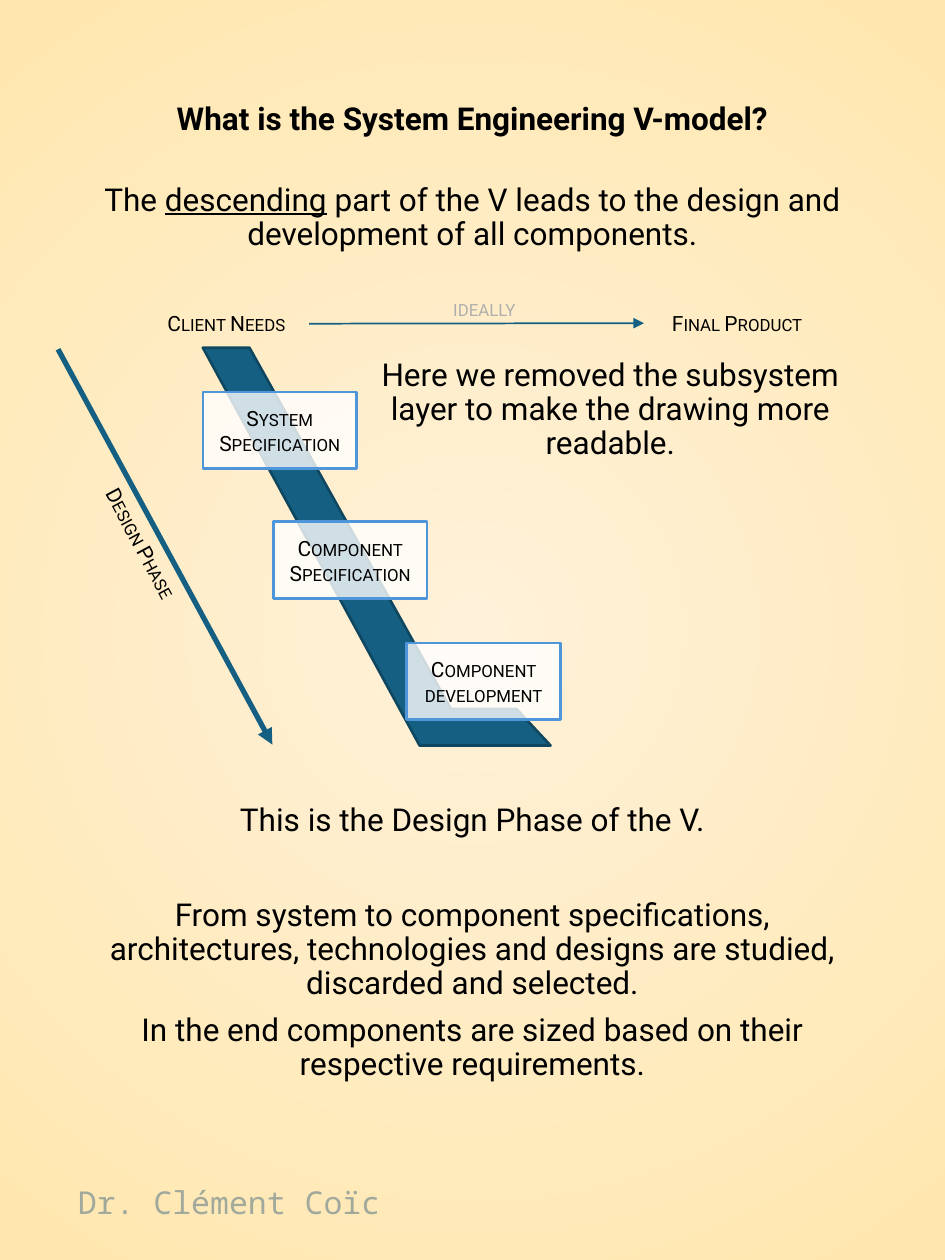
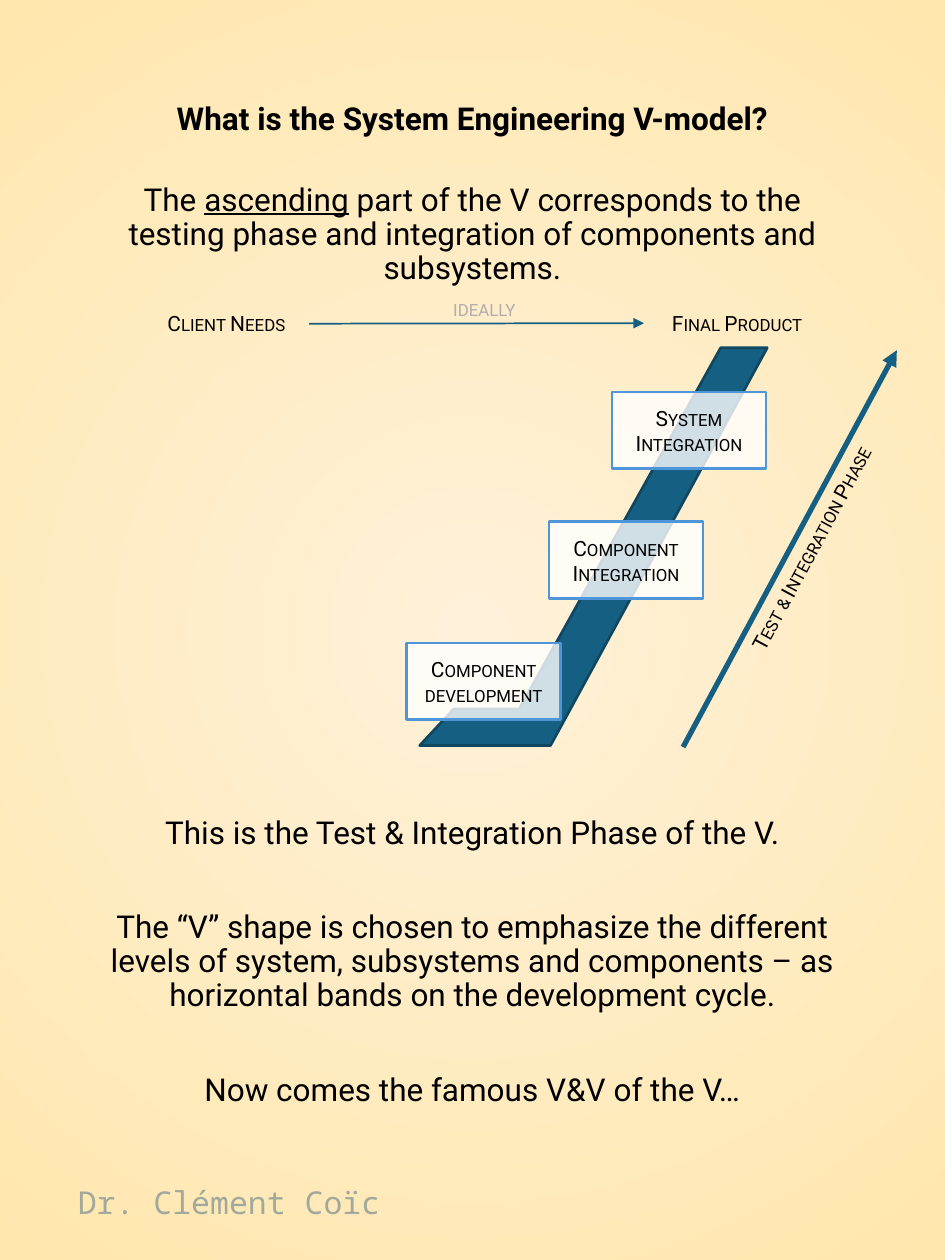
from dataclasses import dataclass

from lxml.etree import SubElement
from pptx import Presentation
from pptx.dml.color import RGBColor as RGB
from pptx.enum.shapes import MSO_CONNECTOR as CONNECTOR, MSO_SHAPE as SHAPE
from pptx.enum.text import MSO_ANCHOR as ANCHOR, MSO_AUTO_SIZE as AUTO_SIZE, PP_ALIGN as ALIGN
from pptx.oxml.ns import qn
from pptx.util import Cm, Inches, Pt


@dataclass(frozen=True)
class Theme:
    center: RGB = RGB(0xFF, 0xF1, 0xDA)
    edge: RGB = RGB(0xFF, 0xE7, 0xAD)
    ink: RGB = RGB(0, 0, 0)
    muted: RGB = RGB(0xAE, 0xAE, 0xAE)
    author: RGB = RGB(0xA1, 0xA9, 0x9D)
    band: RGB = RGB(0x15, 0x60, 0x82)
    band_line: RGB = RGB(0x10, 0x47, 0x60)
    box: RGB = RGB(0xFF, 0xFF, 0xFF)
    box_line: RGB = RGB(0x4E, 0x95, 0xD9)
    font: str = "Roboto"
    author_font: str = "Noto Sans Mono"
    body_size: int = 18
    label_size: int = 12


theme = Theme()

# Vertical places shared by both halves of the V, in cm
SYSTEM, COMPONENT, DEVELOPMENT = 7.9, 10.52, 12.96
MIRROR = 19.56  # sum of two mirrored x values
DESCENDING_BAND = [(4.09, 7.01), (8.46, 15.03), (11.1, 15.03),
                   (10.41, 14.29), (9.09, 14.29), (5.03, 7.01)]
ASCENDING_BAND = [(MIRROR - x, y) for x, y in DESCENDING_BAND]

# Body paragraphs: text, space before in points, left indent in cm
TITLE = ("What is the System Engineering V-model?", 7.5, 0)
PHASES = [
    {
        "underlined": "descending",
        "body": [
            TITLE,
            ("The descending part of the V leads to the design and development "
             "of all components.", 26.5, 0),
            ("Here we removed the subsystem layer to make the drawing more readable.", 61.5, 5.56),
            ("This is the Design Phase of the V.", 196, 0),
            ("From system to component specifications, architectures, technologies "
             "and designs are studied, discarded and selected.", 34.5, 0),
            ("In the end components are sized based on their respective requirements.", 7.5, 0),
        ],
        "band": DESCENDING_BAND,
        "boxes": [("System Specification", 4.09, SYSTEM),
                  ("Component Specification", 5.51, COMPONENT),
                  ("Component development", 8.2, DEVELOPMENT)],
        "arrow": [(1.17, 7.04), (5.49, 15.01)],
        "label": ("Design Phase", 1.17, 10.57, 3.33, 61.7),
    },
    {
        "underlined": "ascending",
        "body": [
            TITLE,
            ("The ascending part of the V corresponds to the testing phase and "
             "integration of components and subsystems.", 26.5, 0),
            ("This is the Test & Integration Phase of the V.", 303.5, 0),
            ("The “V” shape is chosen to emphasize the different levels of system, "
             "subsystems and components – as horizontal bands on the development cycle.", 34.5, 0),
            ("Now comes the famous V&V of the V…", 34.5, 0),
        ],
        "band": ASCENDING_BAND,
        "boxes": [("Component development", 8.2, DEVELOPMENT),
                  ("Component Integration", 11.07, COMPONENT),
                  ("System Integration", 12.34, SYSTEM)],
        "arrow": [(13.77, 15.06), (18.08, 7.06)],
        "label": ("Test & Integration Phase", 11.81, 10.67, 9.09, 298.2),
    },
]


def write_label(shape, text, color=theme.ink):
    """Centred small capitals."""
    shape.text_frame.word_wrap = True
    shape.text_frame.text = text
    paragraph = shape.text_frame.paragraphs[0]
    paragraph.alignment = ALIGN.CENTER
    run = paragraph.runs[0]
    run.font.name = theme.font
    run.font.size = Pt(theme.label_size)
    run.font.color.rgb = color
    run.font._element.set("cap", "small")


def add_arrow(slide, begin, end, width):
    (begin_x, begin_y), (end_x, end_y) = begin, end
    arrow = slide.shapes.add_connector(
        CONNECTOR.STRAIGHT, Cm(begin_x), Cm(begin_y), Cm(end_x), Cm(end_y))
    arrow.line.color.rgb = theme.band
    arrow.line.width = Pt(width)
    properties = arrow._element.spPr
    SubElement(properties.find(qn("a:ln")), qn("a:tailEnd"), type="triangle")
    SubElement(properties, qn("a:effectLst"))
    return arrow


presentation = Presentation()
presentation.slide_width, presentation.slide_height = Inches(7.5), Inches(10)

# Radial background, shared through the master
master = presentation.slide_master
background = master.background.fill
background.gradient()
for stop, color, position in zip(background.gradient_stops, (theme.center, theme.edge), (0, 1)):
    stop.color.rgb = color
    stop.position = position
gradient = master._element.find(".//" + qn("a:gradFill"))
gradient.remove(gradient.find(qn("a:lin")))
circle = SubElement(gradient, qn("a:path"), path="circle")
SubElement(circle, qn("a:fillToRect"), l="50000", t="50000", r="50000", b="50000")

for phase in PHASES:
    slide = presentation.slides.add_slide(presentation.slide_layouts[6])
    shapes = slide.shapes

    # Author footer
    footer = shapes.add_textbox(Cm(1.32), Cm(23.72), Cm(6.88), Cm(1.02))
    footer.text_frame.word_wrap = True
    footer.text_frame.text = "Dr. Clément Coïc"
    font = footer.text_frame.paragraphs[0].runs[0].font
    font.name, font.size = theme.author_font, Pt(theme.body_size)
    font.color.rgb = theme.author

    # Title and body text
    body = shapes.add_textbox(Cm(1.65), Cm(1.96), Cm(15.75), Cm(21.13)).text_frame
    body.word_wrap = True
    for index, (text, space, indent) in enumerate(phase["body"]):
        paragraph = body.add_paragraph() if index else body.paragraphs[0]
        paragraph.alignment = ALIGN.CENTER
        paragraph.line_spacing = 0.9
        paragraph.space_before = Pt(space)
        if indent:
            paragraph._p.get_or_add_pPr().set("marL", str(Cm(indent)))
        for piece in filter(None, text.partition(phase["underlined"])):
            run = paragraph.add_run()
            run.text = piece
            run.font.name, run.font.size = theme.font, Pt(theme.body_size)
            run.font.color.rgb = theme.ink
            run.font.bold = index == 0
            run.font.underline = piece == phase["underlined"]

    # Half of the V
    points = [(Cm(x), Cm(y)) for x, y in phase["band"]]
    builder = shapes.build_freeform(*points[0])
    builder.add_line_segments(points[1:], close=True)
    band = builder.convert_to_shape()
    band.shadow.inherit = False
    band.fill.solid()
    band.fill.fore_color.rgb = theme.band
    band.line.color.rgb = theme.band_line
    band.line.width = Pt(1.5)

    # Translucent step boxes
    for text, left, top in phase["boxes"]:
        box = shapes.add_shape(SHAPE.RECTANGLE, Cm(left), Cm(top), Cm(3.1), Cm(1.55))
        box.shadow.inherit = False
        box.fill.solid()
        box.fill.fore_color.rgb = theme.box
        fill_color = box._element.spPr.find(qn("a:solidFill")).find(qn("a:srgbClr"))
        SubElement(fill_color, qn("a:alpha"), val="80000")
        box.line.color.rgb = theme.box_line
        box.line.width = Pt(1.5)
        box.text_frame.vertical_anchor = ANCHOR.MIDDLE
        write_label(box, text)

    # Labels along the top and beside the phase arrow
    labels = {}
    for text, left, top, width, rotation, color in [
        ("Client Needs", 2.9, 6.14, 3.33, 0, theme.ink),
        ("Final Product", 12.98, 6.13, 3.76, 0, theme.ink),
        ("ideally", 8.1, 5.84, 3.33, 0, theme.muted),
        (*phase["label"], theme.ink),
    ]:
        label = shapes.add_textbox(Cm(left), Cm(top), Cm(width), Cm(0.77))
        label.rotation = rotation
        label.text_frame.auto_size = AUTO_SIZE.SHAPE_TO_FIT_TEXT
        write_label(label, text, color)
        labels[text] = label

    # Ideal path and phase arrow
    ideal_path = add_arrow(slide, (6.23, 6.52), (12.98, 6.52), 1)
    ideal_path.begin_connect(labels["Client Needs"], 3)
    ideal_path.end_connect(labels["Final Product"], 1)
    add_arrow(slide, *phase["arrow"], 3)

presentation.save("out.pptx")
